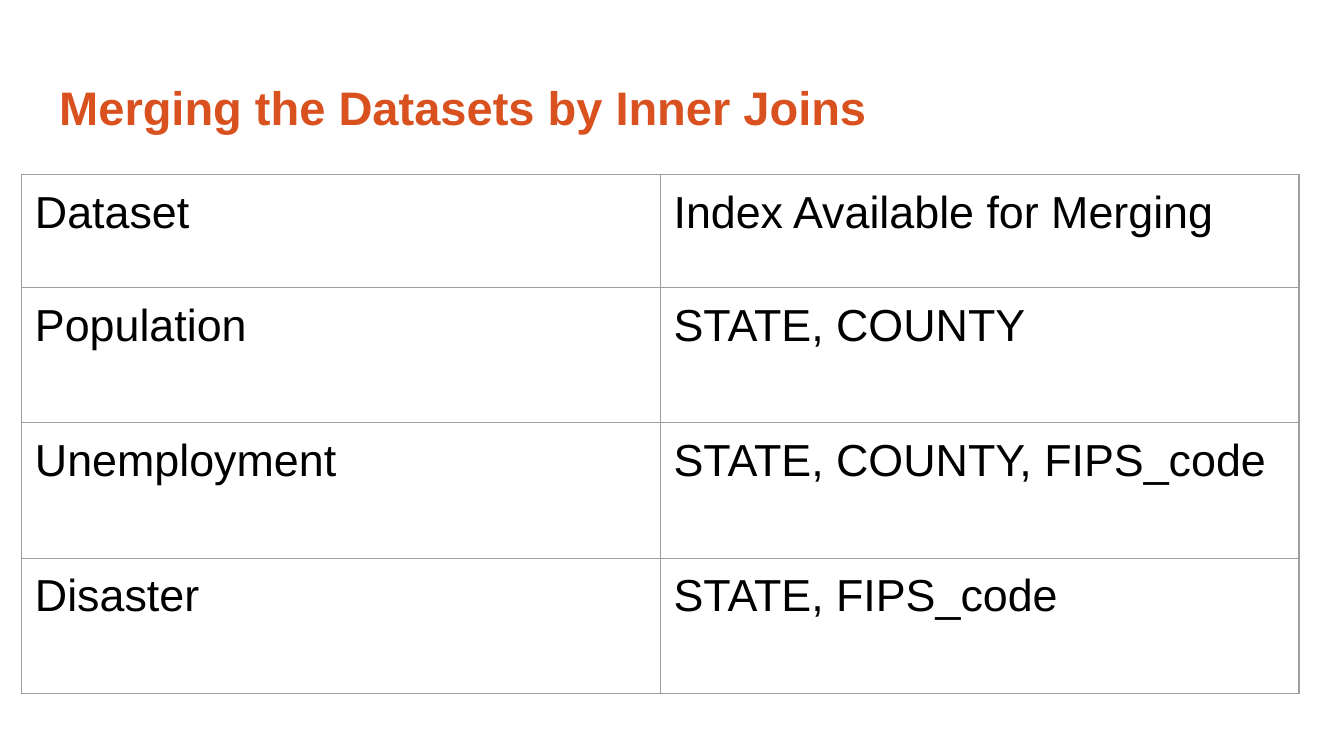
from typing import NamedTuple

from lxml.etree import SubElement
from pptx import Presentation
from pptx.dml.color import RGBColor
from pptx.enum.text import MSO_ANCHOR as Anchor
from pptx.oxml.ns import qn
from pptx.util import Cm, Pt

FONT = "Arial"
ORANGE, BLACK, GREY = "D9511F", "000000", "9E9E9E"
INSET = Cm(0.25)
BORDER = Pt(0.75)


class MergeIndex(NamedTuple):
    dataset: str
    columns: str


MERGE_INDEXES = [
    MergeIndex("Dataset", "Index Available for Merging"),
    MergeIndex("Population", "STATE, COUNTY"),
    MergeIndex("Unemployment", "STATE, COUNTY, FIPS_code"),
    MergeIndex("Disaster", "STATE, FIPS_code"),
]
HEADER_HEIGHT, DATASET_HEIGHT = Cm(2.13), Cm(2.56)
COLUMN_WIDTH = Cm(12.07)


def color(hex_code: str) -> RGBColor:
    return RGBColor.from_string(hex_code)


def write(holder, text: str, size: float, hex_code: str, bold: bool = False) -> None:
    """Add one run to the first paragraph of a text frame."""
    run = holder.paragraphs[0].add_run()
    run.text = text
    run.font.name, run.font.size, run.font.bold = FONT, Pt(size), bold
    run.font.color.rgb = color(hex_code)


def set_insets(holder) -> None:
    holder.margin_left = holder.margin_right = INSET
    holder.margin_top = holder.margin_bottom = INSET


def draw_borders(cell, hex_code: str) -> None:
    properties = cell._tc.get_or_add_tcPr()
    for side in ("lnL", "lnR", "lnT", "lnB"):
        line = SubElement(properties, qn(f"a:{side}"), w=str(BORDER))
        fill = SubElement(line, qn("a:solidFill"))
        SubElement(fill, qn("a:srgbClr"), val=hex_code)


def draw_cell(cell, text: str) -> None:
    set_insets(cell)
    cell.vertical_anchor = Anchor.TOP
    draw_borders(cell, GREY)
    cell.fill.background()
    write(cell.text_frame, text, 24, BLACK)


def draw_merge_table(slide, indexes: list[MergeIndex]) -> None:
    heights = [HEADER_HEIGHT] + [DATASET_HEIGHT] * (len(indexes) - 1)
    table = slide.shapes.add_table(
        len(indexes), 2, Cm(0.41), Cm(3.3), 2 * COLUMN_WIDTH, sum(heights)
    ).table
    table.first_row = table.horz_banding = False
    for column in table.columns:
        column.width = COLUMN_WIDTH
    for row, height, index in zip(table.rows, heights, indexes):
        row.height = height
        for cell, text in zip(row.cells, index):
            draw_cell(cell, text)


presentation = Presentation()
presentation.slide_width, presentation.slide_height = Cm(25.4), Cm(14.29)
slide = presentation.slides.add_slide(presentation.slide_layouts[6])

# Title
title = slide.shapes.add_textbox(Cm(0.87), Cm(1.24), Cm(23.67), Cm(1.6)).text_frame
title.word_wrap = True
title.vertical_anchor = Anchor.TOP
set_insets(title)
write(title, "Merging the Datasets by Inner Joins", 25.2, ORANGE, bold=True)

# Datasets and the columns they can be merged on
draw_merge_table(slide, MERGE_INDEXES)

presentation.save("out.pptx")
